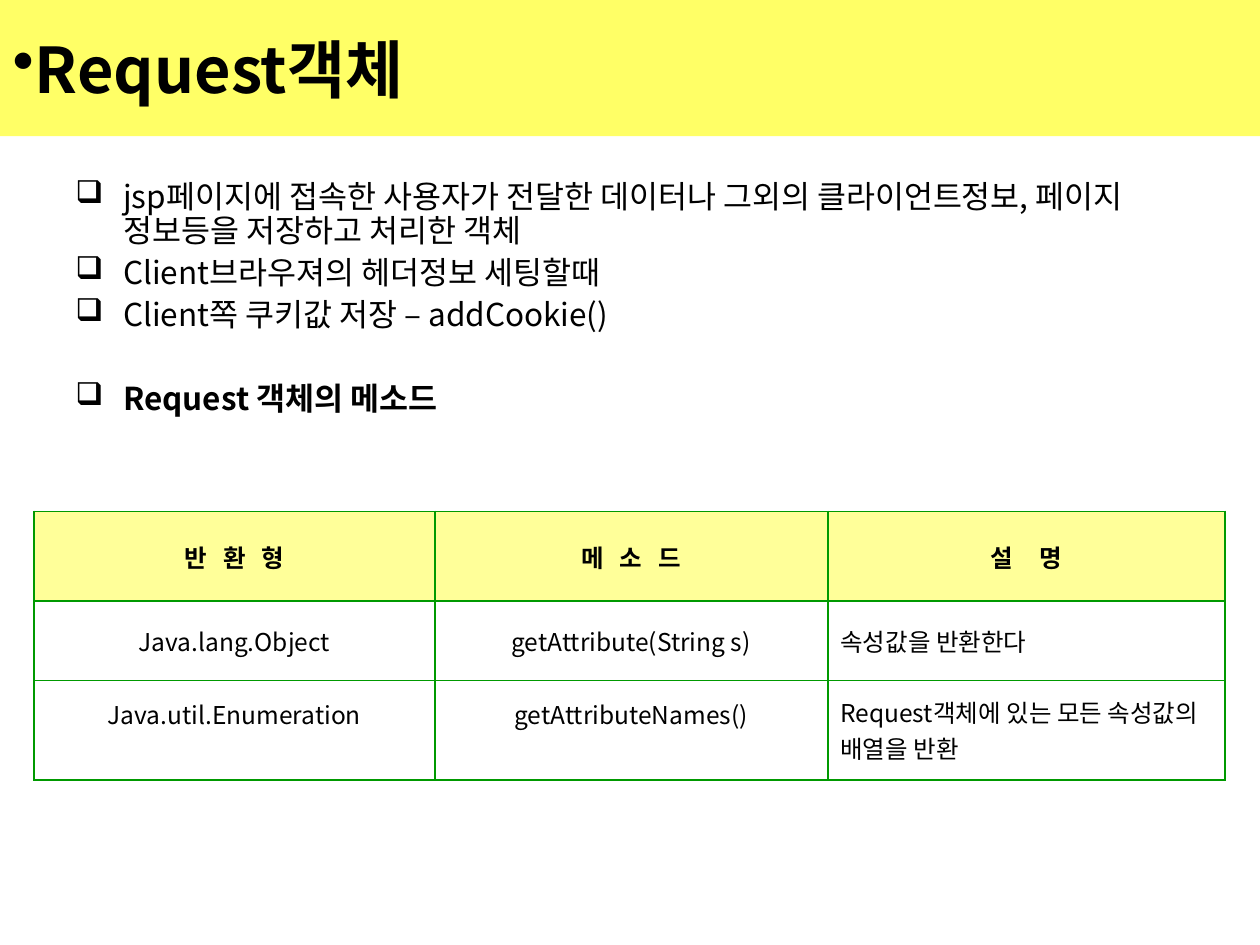
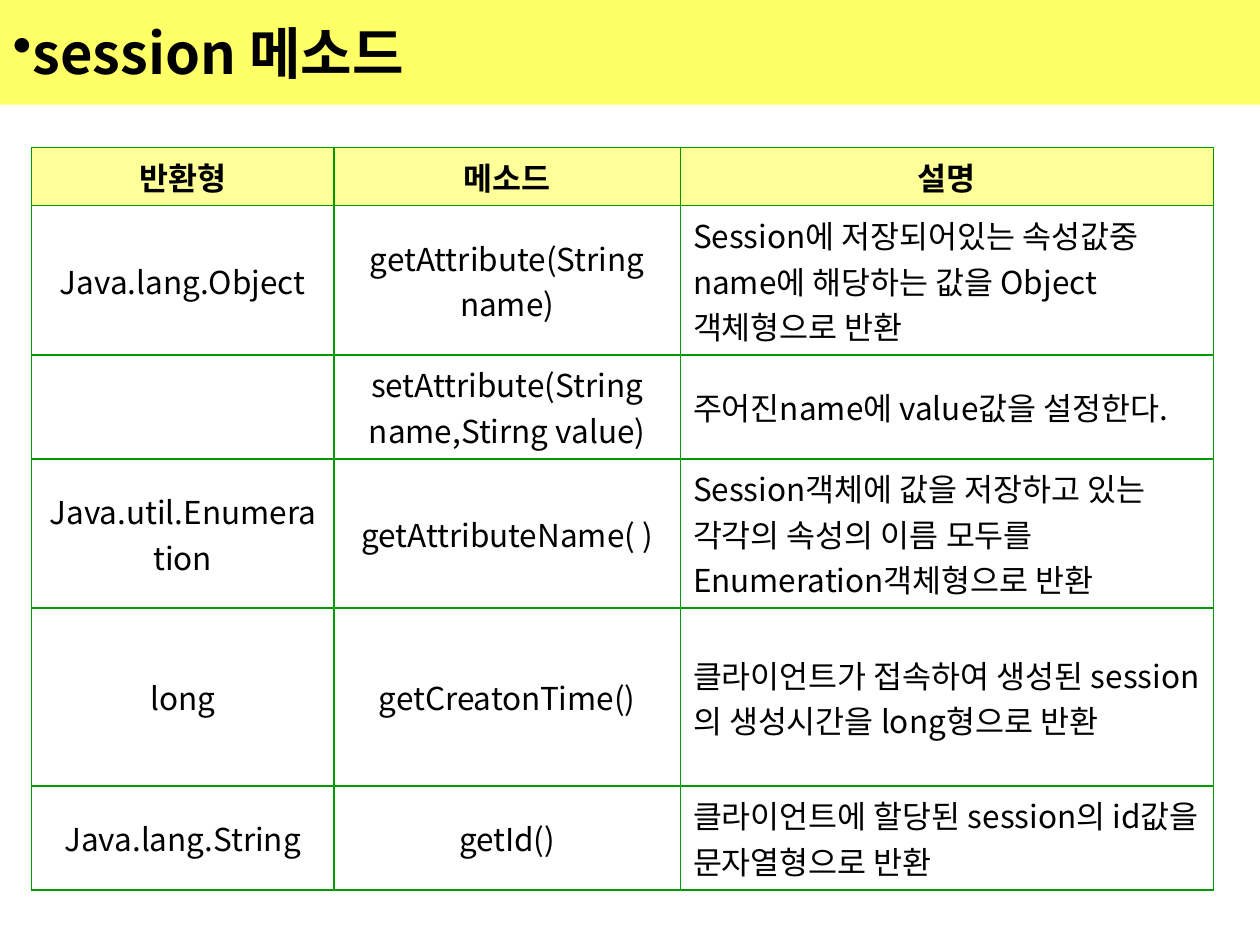
from lxml import etree
from pptx import Presentation
from pptx.dml.color import RGBColor as RGB
from pptx.enum.text import MSO_ANCHOR as ANCHOR, MSO_AUTO_SIZE as AUTO, PP_ALIGN as ALIGN
from pptx.oxml.ns import qn
from pptx.util import Inches, Pt

COLORS = {"band": "FFFF66", "header": "FFFF99", "border": "009900", "text": "000000"}
FONT = "Noto Sans CJK KR"


def style(p, size, bold=False):
    for r in p.runs:
        r.font.size, r.font.bold, r.font.name = Pt(size), bold, FONT
        r.font.color.rgb = RGB.from_string(COLORS["text"])
        etree.SubElement(r._r.get_or_add_rPr(), qn("a:ea"), typeface=FONT)


def bullet(p, char, indent):
    pPr = p._p.get_or_add_pPr()
    pPr.set("marL", str(Inches(indent)))
    pPr.set("indent", str(-Inches(indent)))
    clr = etree.SubElement(pPr, qn("a:buClr"))
    etree.SubElement(clr, qn("a:srgbClr"), val=COLORS["text"])
    etree.SubElement(pPr, qn("a:buChar"), char=char)


# Content: title, its size and band height, then the table
slides = [
    {"title": "Request객체", "title_size": 36, "band": 1.08,
     "at": (0.27, 4.06), "size": 14,
     "cols": [3.18, 3.12, 3.15], "rows": [0.71, 0.63, 0.79],
     "cells": [
         ["반 환 형", "메 소 드", "설 명"],
         ["Java.lang.Object", "getAttribute(String s)", "속성값을 반환한다"],
         ["Java.util.Enumeration", "getAttributeNames()",
          "Request객체에 있는 모든 속성값의 배열을 반환"]]},
    {"title": "session 메소드", "title_size": 32, "band": 0.83,
     "at": (0.25, 1.17), "size": 18,
     "cols": [2.4, 2.75, 4.23], "rows": [0.45, 1, 0.7, 1, 1.41, 0.71],
     "cells": [
         ["반환형", "메소드", "설명"],
         ["Java.lang.Object", "getAttribute(String name)",
          "Session에 저장되어있는 속성값중 name에 해당하는 값을 Object객체형으로 반환"],
         ["", "setAttribute(String name,Stirng value)",
          "주어진name에 value값을 설정한다."],
         ["Java.util.Enumeration", "getAttributeName( )",
          "Session객체에 값을 저장하고 있는 각각의 속성의 이름 모두를Enumeration객체형으로 반환"],
         ["long", "getCreatonTime()",
          "클라이언트가 접속하여 생성된 session의 생성시간을 long형으로 반환"],
         ["Java.lang.String", "getId()",
          "클라이언트에 할당된 session의 id값을 문자열형으로 반환"]]},
]
points = [
    "jsp페이지에 접속한 사용자가 전달한 데이터나 그외의 클라이언트정보, 페이지 정보등을 저장하고 처리한 객체",
    "Client브라우져의 헤더정보 세팅할때",
    "Client쪽 쿠키값 저장 – addCookie()",
    "Request 객체의 메소드",
]

prs = Presentation()
prs.slide_width, prs.slide_height = Inches(10), Inches(7.5)
tables = []

for data in slides:
    s = prs.slides.add_slide(prs.slide_layouts[5])

    # Title band
    sp = s.shapes.title
    sp.left, sp.top, sp.width, sp.height = 0, 0, prs.slide_width, Inches(data["band"])
    sp.fill.solid()
    sp.fill.fore_color.rgb = RGB.from_string(COLORS["band"])
    tf = sp.text_frame
    tf.text = data["title"]
    tf.auto_size, tf.vertical_anchor = AUTO.NONE, ANCHOR.MIDDLE
    p = tf.paragraphs[0]
    bullet(p, "•", 0)
    p.alignment = ALIGN.LEFT
    style(p, data["title_size"], True)

    # Method table
    left, top = data["at"]
    cols, rows = data["cols"], data["rows"]
    table = s.shapes.add_table(len(rows), len(cols), Inches(left), Inches(top),
                               Inches(sum(cols)), Inches(sum(rows))).table
    table.first_row = table.horz_banding = False
    for col, width in zip(table.columns, cols):
        col.width = Inches(width)
    for row, height in zip(table.rows, rows):
        row.height = Inches(height)
    for i, texts in enumerate(data["cells"]):
        for j, text in enumerate(texts):
            cell = table.cell(i, j)
            cell.text = text
            cell.vertical_anchor = ANCHOR.MIDDLE
            p = cell.text_frame.paragraphs[0]
            p.alignment = ALIGN.CENTER if i == 0 or j < 2 else ALIGN.LEFT
            style(p, data["size"], i == 0)
            tcPr = cell._tc.get_or_add_tcPr()
            for side in ("lnL", "lnR", "lnT", "lnB"):
                ln = etree.SubElement(tcPr, qn(f"a:{side}"), w=str(Pt(1.08)))
                fill = etree.SubElement(ln, qn("a:solidFill"))
                etree.SubElement(fill, qn("a:srgbClr"), val=COLORS["border"])
            if i == 0:
                cell.fill.solid()
                cell.fill.fore_color.rgb = RGB.from_string(COLORS["header"])
            else:
                cell.fill.background()
    tables.append(table)

# Request table: widely spaced headings, last row aligned on its first line
for j, spacing in enumerate((300, 300, 600)):
    r = tables[0].cell(0, j).text_frame.paragraphs[0].runs[0]
    r._r.get_or_add_rPr().set("spc", str(spacing))
for j in range(2):
    cell = tables[0].cell(2, j)
    cell.vertical_anchor = ANCHOR.TOP
    cell.margin_top = Inches(0.12)

# Request bullet list
sp = prs.slides[0].shapes.add_textbox(Inches(0.5), Inches(1.39), Inches(9), Inches(2.05))
tf = sp.text_frame
tf.word_wrap = True
for i, text in enumerate(points):
    p = tf.paragraphs[0] if i == 0 else tf.add_paragraph()
    last = i == len(points) - 1
    p.text = text
    bullet(p, "❑", 0.38)
    p.line_spacing = 0.9
    if i:
        p.space_before = Pt(28.5 if last else 4.5)
    style(p, 18, last)

prs.save("out.pptx")
